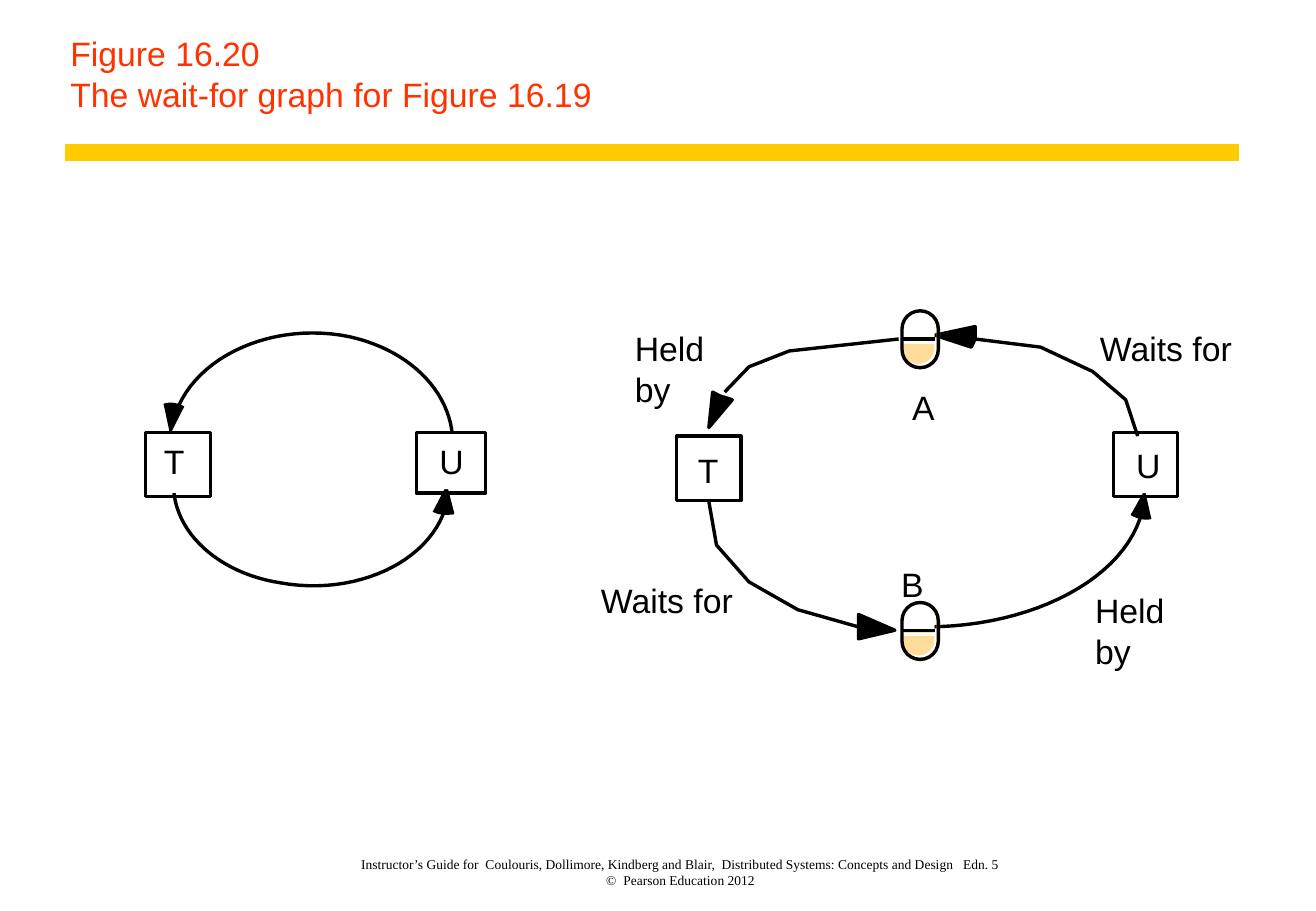
from dataclasses import dataclass

from lxml.etree import SubElement
from pptx import Presentation
from pptx.dml.color import RGBColor as Rgb
from pptx.enum.shapes import MSO_CONNECTOR as Link, MSO_SHAPE as Kind
from pptx.enum.text import MSO_ANCHOR as Anchor, MSO_AUTO_SIZE as Fit, PP_ALIGN as Align
from pptx.oxml.ns import qn
from pptx.util import Cm, Pt


@dataclass(frozen=True)
class Theme:
    black: Rgb = Rgb(0, 0, 0)
    white: Rgb = Rgb(255, 255, 255)
    red: Rgb = Rgb(0xFF, 0x33, 0x00)
    gold: Rgb = Rgb(0xFF, 0xCC, 0x00)
    tan: Rgb = Rgb(0xFF, 0xDC, 0x99)
    sans: str = "Arial"
    serif: str = "Times New Roman"
    large: int = 20
    small: int = 8
    thin: int = 2
    thick: int = 10


LOOK = Theme()

# Content; all lengths are in cm
TITLE = ["Figure 16.20", "The wait-for graph for Figure 16.19"]
FOOTER = [
    "Instructor’s Guide for  Coulouris, Dollimore, Kindberg and Blair,  "
    "Distributed Systems: Concepts and Design   Edn. 5",
    "©  Pearson Education 2012",
]
WIDTHS = {"A": 0.48, "B": 0.48, "T": 0.43, "U": 0.51, "Waits for": 2.79, "Held by": 2.39}
LABELS = [
    ("T", 3.43, 9.22), ("U", 9.19, 9.22), ("T", 14.6, 9.4), ("U", 23.77, 9.3),
    ("A", 19.08, 8.08), ("B", 18.85, 11.79),
    ("Held by", 13.28, 6.86), ("Waits for", 23.01, 6.86),
    ("Waits for", 12.57, 12.12), ("Held by", 22.91, 12.34),
]
BOXES = [
    (3.05, 9.04, 1.35, 1.35), (8.71, 9.04, 1.45, 1.27),
    (14.15, 9.12, 1.35, 1.35), (23.29, 9.04, 1.35, 1.35),
]
PILLS = [(18.87, 12.6), (18.87, 6.5)]
# Each arc: curve controls, controls of the arrowhead's base, arrow tip
ARCS = [
    ([(23.9, 10.67), (23.57, 12.07), (21.64, 13.11), (19.38, 13.11)],
     [(24.08, 10.82), (23.95, 10.85), (23.8, 10.82), (23.67, 10.74)], (23.95, 10.24)),
    ([(3.63, 8.79), (3.96, 7.54), (5.54, 6.76), (7.14, 7.01),
      (8.51, 7.24), (9.47, 8.18), (9.47, 9.25)],
     [(3.43, 8.48), (3.56, 8.43), (3.71, 8.46), (3.84, 8.53)], (3.56, 9.09)),
    ([(9.32, 10.62), (8.97, 11.76), (7.44, 12.47), (5.87, 12.19),
      (4.57, 11.99), (3.63, 11.13), (3.63, 10.13)],
     [(9.5, 10.72), (9.35, 10.74), (9.19, 10.74), (9.07, 10.67)], (9.35, 10.13)),
]
# Each bent arrow: arrowhead outline, then path
BENDS = [
    ([(20.4, 7.09), (20.32, 7.26), (19.56, 7.01), (20.4, 6.83)],
     [(20.4, 7.09), (21.77, 7.26), (22.86, 7.77), (23.55, 8.36), (23.8, 9.12)]),
    ([(17.96, 13.11), (17.96, 12.85), (18.72, 13.18), (17.96, 13.36)],
     [(17.96, 13.11), (16.69, 12.75), (15.67, 12.17), (14.99, 11.4), (14.83, 10.49)]),
    ([(15.06, 8.28), (15.32, 8.36), (14.83, 8.94), (14.91, 8.2)],
     [(15.16, 8.2), (15.67, 7.67), (16.51, 7.34), (18.8, 7.09)]),
]
INSET = 0.08  # an outline is this much larger than its fill
STEPS = 24

deck = Presentation()
deck.slide_width, deck.slide_height = Cm(27.53), Cm(19.05)
slide = deck.slides.add_slide(deck.slide_layouts[5])
shapes = slide.shapes


def paint(shape, fill=None, line=None):
    shape.shadow.inherit = False
    if fill is None:
        shape.fill.background()
    else:
        shape.fill.solid()
        shape.fill.fore_color.rgb = fill
    if line is None:
        shape.line.fill.background()
    else:
        shape.line.color.rgb = line
        shape.line.width = Pt(LOOK.thin)


def block(kind, x, y, w, h, fill=None, line=None):
    shape = shapes.add_shape(kind, Cm(x), Cm(y), Cm(w), Cm(h))
    if kind == Kind.ROUNDED_RECTANGLE:
        shape.adjustments[0] = 0.5
    paint(shape, fill, line)


def pair(kind, x, y, w, h, fill, line):
    """Draw a filled shape and a slightly larger outline over it."""
    block(kind, x, y, w - INSET, h - INSET, fill=fill)
    block(kind, x, y, w, h, line=line)


def rule(x1, y1, x2, y2, color, width):
    line = shapes.add_connector(Link.STRAIGHT, Cm(x1), Cm(y1), Cm(x2), Cm(y2))
    line.line.color.rgb = color
    line.line.width = Pt(width)
    SubElement(line._element.spPr, qn("a:effectLst"))


def trace(points, close=False, fill=None, line=None):
    spots = [(Cm(x), Cm(y)) for x, y in points]
    pen = shapes.build_freeform(*spots[0], scale=1.0)
    pen.add_line_segments(spots[1:], close=close)
    paint(pen.convert_to_shape(), fill, line)


def smooth(dots):
    """Turn chained cubic Bezier controls into points along the curve."""
    points = [dots[0]]
    for i in range(0, len(dots) - 1, 3):
        for step in range(1, STEPS + 1):
            t = step / STEPS
            parts = ((1 - t) ** 3, 3 * t * (1 - t) ** 2, 3 * t * t * (1 - t), t ** 3)
            points.append(tuple(
                sum(k * dot[axis] for k, dot in zip(parts, dots[i:i + 4]))
                for axis in (0, 1)))
    return points


def write(shape, lines, size, font, color, align=Align.LEFT, anchor=Anchor.TOP,
          wrap=True, insets=(0, 0, 0, 0)):
    frame = shape.text_frame
    frame.word_wrap = wrap
    frame.auto_size = Fit.NONE if wrap else Fit.SHAPE_TO_FIT_TEXT
    frame.vertical_anchor = anchor
    (frame.margin_left, frame.margin_top,
     frame.margin_right, frame.margin_bottom) = map(Cm, insets)
    para = frame.paragraphs[0]
    para.alignment = align
    for i, line in enumerate(lines):
        if i:
            para.add_line_break()
        run = para.add_run()
        run.text = line
        run.font.size = Pt(size)
        run.font.name = font
        run.font.color.rgb = color


def place(x, y, w, h):
    return shapes.add_textbox(Cm(x), Cm(y), Cm(w), Cm(h))


title = shapes.title
title.left, title.top, title.width, title.height = Cm(1.22), Cm(0), Cm(24.69), Cm(2.54)
write(title, TITLE, LOOK.large, LOOK.sans, LOOK.red, anchor=Anchor.BOTTOM,
      insets=(0.25, 0.15, 0.36, 0.15))
rule(1.37, 3.18, 25.91, 3.18, LOOK.gold, LOOK.thick)
write(place(5.86, 17.58, 16.76, 0.99), FOOTER, LOOK.small, LOOK.serif, LOOK.black,
      align=Align.CENTER, anchor=Anchor.BOTTOM)

for curve, base, tip in ARCS:
    edge = smooth(base)
    trace(edge, line=LOOK.black)
    trace(edge + [tip], close=True, fill=LOOK.black)
    trace(smooth(curve), line=LOOK.black)

for box in BOXES:
    pair(Kind.RECTANGLE, *box, LOOK.white, LOOK.black)

for head, path in BENDS:
    trace(head, close=True, fill=LOOK.black, line=LOOK.black)
    trace(path, line=LOOK.black)

for x, y in PILLS:
    pair(Kind.ROUNDED_RECTANGLE, x, y, 0.76, 1.19, LOOK.tan, LOOK.tan)
    pair(Kind.RECTANGLE, x, y, 0.76, 0.67, LOOK.white, LOOK.white)
    block(Kind.ROUNDED_RECTANGLE, x, y, 0.76, 1.19, line=LOOK.black)
    rule(x, y + 0.59, x + 0.68, y + 0.59, LOOK.black, LOOK.thin)

for text, x, y in LABELS:
    write(place(x, y, WIDTHS[text], 0.84), [text], LOOK.large, LOOK.sans, LOOK.black,
          wrap=False)

deck.save("out.pptx")
